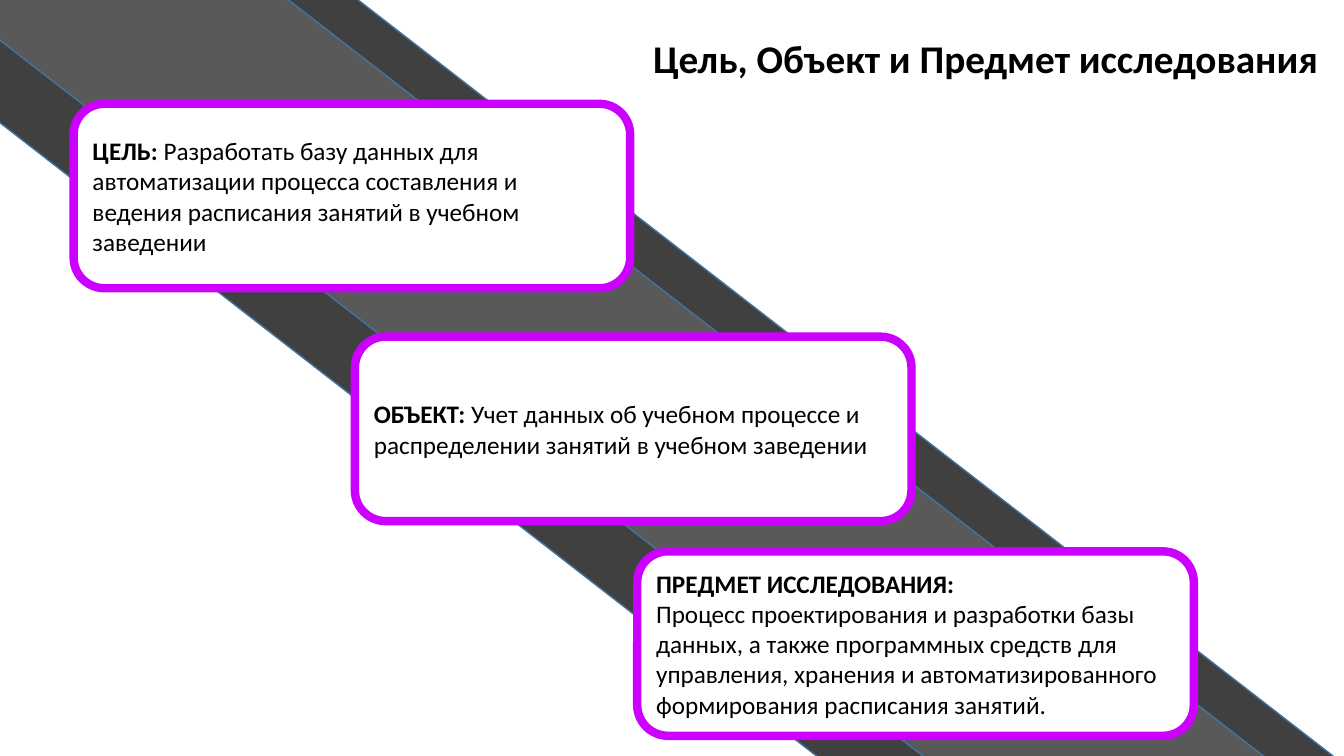
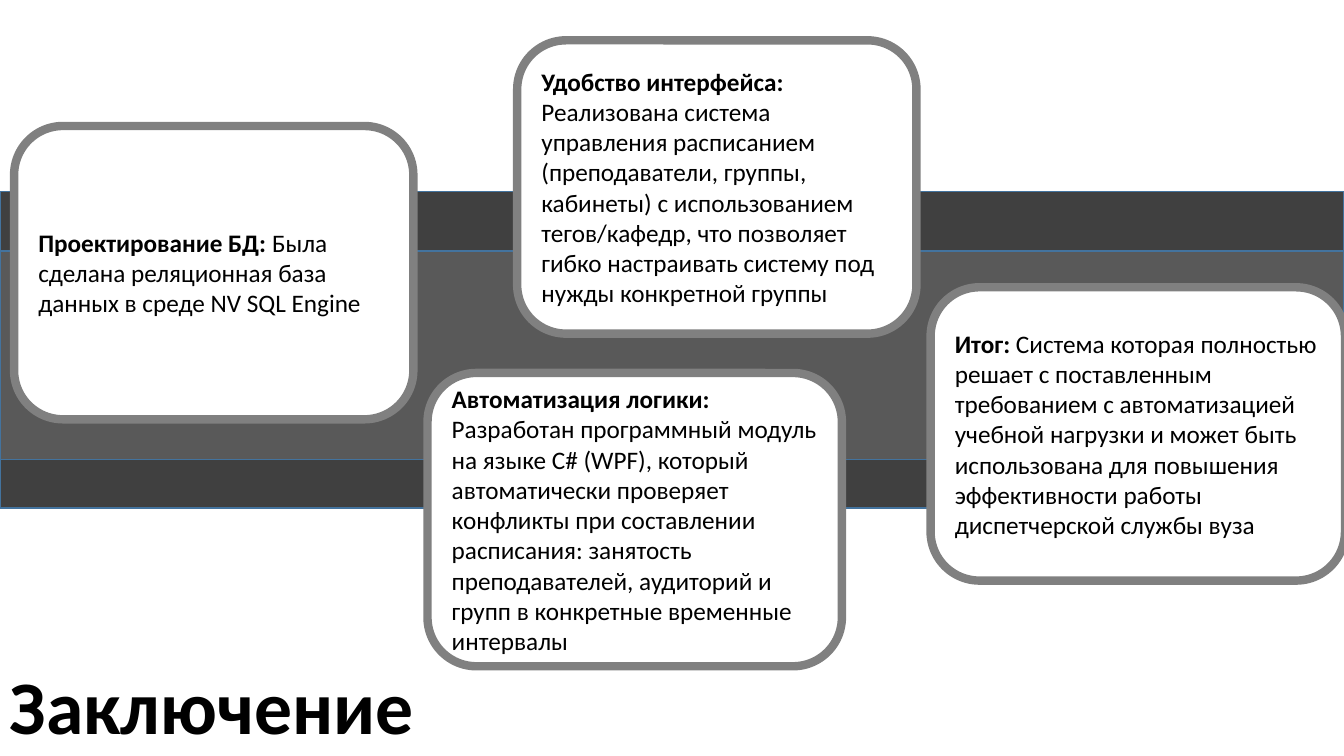
from dataclasses import dataclass

import pptx
import pptx.dml.color
import pptx.enum.shapes
import pptx.enum.text
import pptx.util
from pptx.util import Inches

COLORS = {
    "page": "FFFFFF",
    "text": "000000",
    "roadside": "404040",
    "lane": "595959",
    "road_edge": "43739E",
    "purple": "CC00FF",
    "gray": "808080",
}
FONT = "Calibri"
CARD_TEXT_SIZE = 18
CARD_BORDER = 6
SHAPES = pptx.enum.shapes.MSO_SHAPE
MIDDLE = pptx.enum.text.MSO_ANCHOR.MIDDLE
TOP = pptx.enum.text.MSO_ANCHOR.TOP


@dataclass(frozen=True)
class Box:
    left: float
    top: float
    width: float
    height: float

    def lengths(self) -> tuple:
        return tuple(Inches(n) for n in (self.left, self.top, self.width, self.height))


@dataclass(frozen=True)
class Title:
    text: str
    box: Box
    size: int
    anchor: pptx.enum.text.MSO_ANCHOR = TOP
    line_points: int | None = None


@dataclass(frozen=True)
class Card:
    box: Box
    lead: str
    body: str
    body_on_new_line: bool = False


@dataclass(frozen=True)
class Page:
    title: Title
    roadside: Box
    lane: Box
    road_angle: float
    card_border: str
    cards: tuple[Card, ...]


GOAL_CARD = (5.52, 1.83)
NARROW_CARD = (3.96, 2.91)
WIDE_CARD = (4.11, 2.91)

PAGES = (
    Page(
        Title("Цель, Объект и Предмет исследования", Box(6.38, 0, 6.96, 0.86), 28, MIDDLE, 54),
        roadside=Box(-2.33, 2.82, 17.96, 3.14),
        lane=Box(-2.27, 3.26, 17.96, 2.07),
        road_angle=37.8,
        card_border="purple",
        cards=(
            Card(Box(0.73, 1.03, *GOAL_CARD), "ЦЕЛЬ:",
                 " Разработать базу данных для автоматизации процесса составления "
                 "и ведения расписания занятий в учебном заведении"),
            Card(Box(3.52, 3.34, *GOAL_CARD), "ОБЪЕКТ: ",
                 "Учет данных об учебном процессе и распределении занятий "
                 "в учебном заведении"),
            Card(Box(6.32, 5.47, *GOAL_CARD), "ПРЕДМЕТ ИССЛЕДОВАНИЯ:",
                 "Процесс проектирования и разработки базы данных, а также программных "
                 "средств для управления, хранения и автоматизированного формирования "
                 "расписания занятий.", body_on_new_line=True),
        ),
    ),
    Page(
        Title("Заключение", Box(0, 6.49, 4.4, 1.01), 54),
        roadside=Box(0, 1.9, 13.33, 3.14),
        lane=Box(0, 2.49, 13.33, 2.07),
        road_angle=0,
        card_border="gray",
        cards=(
            Card(Box(0.14, 1.25, *NARROW_CARD), "Проектирование БД: ",
                 "Была сделана реляционная база данных в среде NV SQL Engine"),
            Card(Box(4.24, 3.7, *WIDE_CARD), "Автоматизация логики: ",
                 "Разработан программный модуль на языке C# (WPF), который автоматически "
                 "проверяет конфликты при составлении расписания: занятость "
                 "преподавателей, аудиторий и групп в конкретные временные интервалы"),
            Card(Box(5.13, 0.4, *NARROW_CARD), "Удобство интерфейса: ",
                 "Реализована система управления расписанием (преподаватели, группы, "
                 "кабинеты) с использованием тегов/кафедр, что позволяет гибко "
                 "настраивать систему под нужды конкретной группы"),
            Card(Box(9.23, 2.85, *WIDE_CARD), "Итог: ",
                 "Система которая полностью решает с поставленным требованием "
                 "с автоматизацией учебной нагрузки и может быть использована для "
                 "повышения эффективности работы диспетчерской службы вуза"),
        ),
    ),
)


def rgb(name: str) -> pptx.dml.color.RGBColor:
    return pptx.dml.color.RGBColor.from_string(COLORS[name])


def add_panel(slide, kind: SHAPES, box: Box, fill: str, edge: str, edge_points: float):
    panel = slide.shapes.add_shape(kind, *box.lengths())
    panel.shadow.inherit = False
    panel.fill.solid()
    panel.fill.fore_color.rgb = rgb(fill)
    panel.line.color.rgb = rgb(edge)
    panel.line.width = pptx.util.Pt(edge_points)
    return panel


def style_run(run, size: int, bold: bool) -> None:
    run.font.name = FONT
    run.font.size = pptx.util.Pt(size)
    run.font.bold = bold
    run.font.color.rgb = rgb("text")


def add_road(slide, page: Page) -> None:
    for box, fill in ((page.roadside, "roadside"), (page.lane, "lane")):
        strip = add_panel(slide, SHAPES.RECTANGLE, box, fill, "road_edge", 1)
        strip.rotation = page.road_angle


def add_title(slide, title: Title) -> None:
    frame = slide.shapes.add_textbox(*title.box.lengths()).text_frame
    frame.word_wrap = True
    frame.auto_size = pptx.enum.text.MSO_AUTO_SIZE.SHAPE_TO_FIT_TEXT
    frame.vertical_anchor = title.anchor
    frame.text = title.text
    heading = frame.paragraphs[0]
    if title.line_points:
        heading.line_spacing = pptx.util.Pt(title.line_points)
    style_run(heading.runs[0], title.size, bold=True)


def add_card(slide, card: Card, border: str) -> None:
    frame = add_panel(slide, SHAPES.ROUNDED_RECTANGLE, card.box,
                      "page", border, CARD_BORDER).text_frame
    frame.word_wrap = True
    frame.vertical_anchor = MIDDLE
    frame.text = card.lead
    lead_line = frame.paragraphs[0]
    body_line = frame.add_paragraph() if card.body_on_new_line else lead_line
    body = body_line.add_run()
    body.text = card.body
    style_run(lead_line.runs[0], CARD_TEXT_SIZE, bold=True)
    style_run(body, CARD_TEXT_SIZE, bold=False)
    for line in frame.paragraphs:
        line.alignment = pptx.enum.text.PP_ALIGN.LEFT


def main() -> None:
    deck = pptx.Presentation()
    deck.slide_width, deck.slide_height = Inches(13.33), Inches(7.5)
    blank = deck.slide_layouts[6]
    for page in PAGES:
        slide = deck.slides.add_slide(blank)
        add_road(slide, page)
        add_title(slide, page.title)
        for card in page.cards:
            add_card(slide, card, page.card_border)
    deck.save("out.pptx")


if __name__ == "__main__":
    main()
